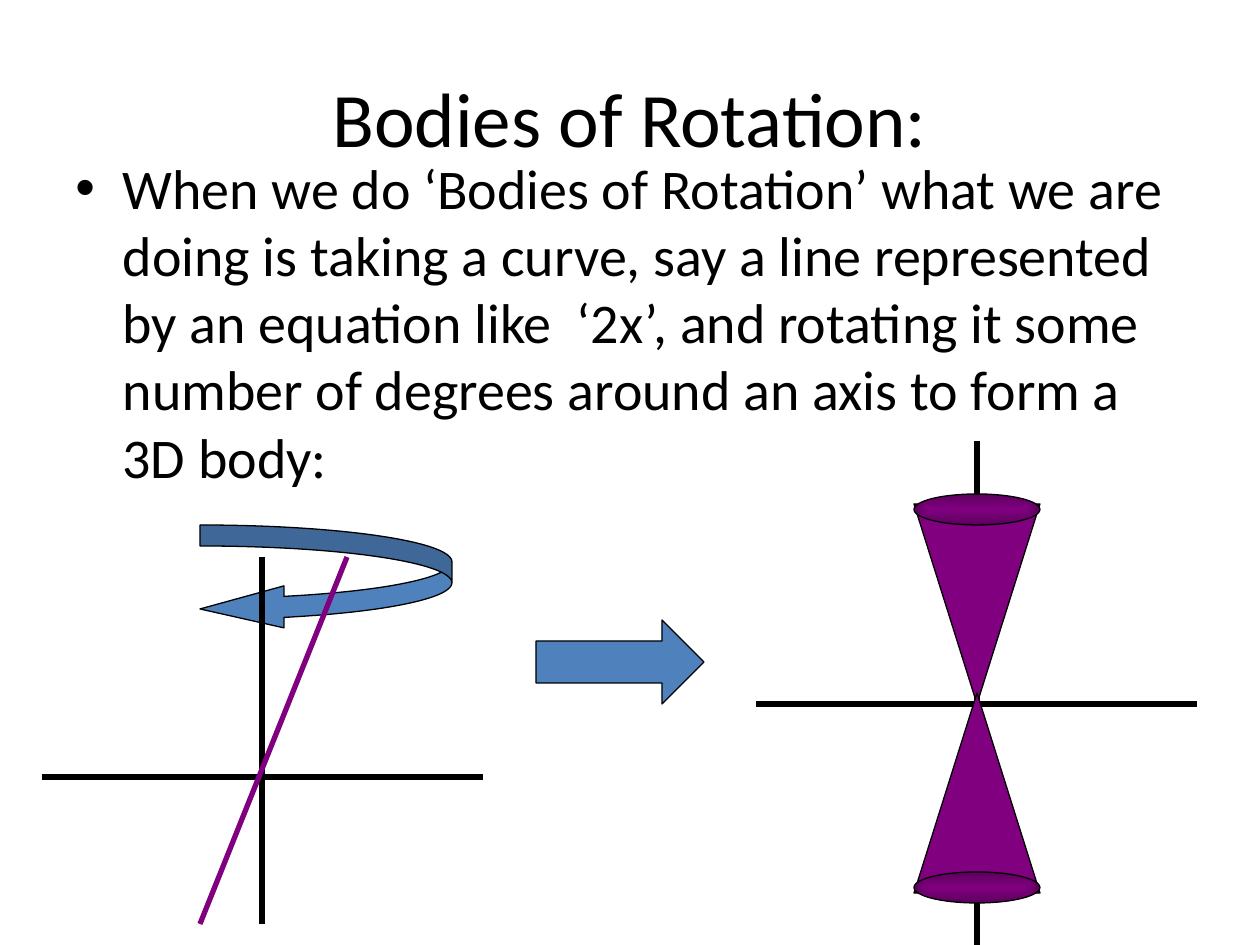
"""Build a slide that explains bodies of rotation with a line and a double cone."""
from lxml import etree
from pptx import Presentation
from pptx import util as u
from pptx.dml import color
from pptx.enum import shapes, text
from pptx.oxml import ns

PX = 914400 / 126
BLACK, BLUE, PURPLE, DARK = "000000", "4F81BD", "800080", "5C005C"
kind = shapes.MSO_SHAPE


def emu(*vals):
    return [u.Emu(round(v * PX)) for v in vals]


def rgb(code):
    return color.RGBColor.from_string(code)


deck = Presentation()
deck.slide_width, deck.slide_height = emu(1260, 945)
slide = deck.slides.add_slide(deck.slide_layouts[5])
parts = slide.shapes

title = parts.title
title.left, title.top, title.width, title.height = emu(63, 38, 1134, 157)
title.text_frame.text = "Bodies of Rotation:"
title.text_frame.vertical_anchor = text.MSO_ANCHOR.MIDDLE
body = parts.add_textbox(*emu(63, 147, 1134, 624))
body.text_frame.word_wrap = True
body.text_frame.text = (
    "When we do ‘Bodies of Rotation’ what we are doing is taking a curve, "
    "say a line represented by an equation like  ‘2x’, and rotating it some "
    "number of degrees around an axis to form a 3D body:"
)

for box, size, align in (
    (title, 44, text.PP_ALIGN.CENTER),
    (body, 32, text.PP_ALIGN.LEFT),
):
    para = box.text_frame.paragraphs[0]
    para.alignment = align
    font = para.runs[0].font
    font.name, font.size = "Calibri", u.Pt(size)
    font.color.rgb = rgb(BLACK)

para = body.text_frame.paragraphs[0]
para.space_before = u.Pt(6)
props = para._p.get_or_add_pPr()
props.set("marL", "342900")
props.set("indent", "-342900")
etree.SubElement(props, ns.qn("a:buFont"), typeface="Arial")
etree.SubElement(props, ns.qn("a:buChar"), char="•")

arrows = (
    (kind.CURVED_LEFT_ARROW, (200, 525, 252, 105), (0.2, 0.4, 0.8)),
    (kind.RIGHT_ARROW, (536, 620, 168, 84), (0.5, 0.5)),
)
solids = []
for form, area, adjs in arrows:
    arrow = parts.add_shape(form, *emu(*area))
    for i, adj in enumerate(adjs):
        arrow.adjustments[i] = adj
    arrow.fill.solid()
    arrow.fill.fore_color.rgb = rgb(BLUE)
    solids.append(arrow)

lines = (
    (262, 557, 262, 924, BLACK, 3.5),
    (42, 777, 483, 777, BLACK, 3.5),
    (977, 441, 977, 945, BLACK, 3.5),
    (756, 704, 1197, 704, BLACK, 3.5),
    (200, 924, 347, 557, PURPLE, 3),
)
for *ends, hue, width in lines:
    line = parts.add_connector(shapes.MSO_CONNECTOR.STRAIGHT, *emu(*ends))
    line.line.color.rgb = rgb(hue)
    line.line.width = u.Pt(width)
    etree.SubElement(line._element.spPr, ns.qn("a:effectLst"))

for top, turn in ((504, 0), (693, 180)):
    cone = parts.add_shape(kind.FLOWCHART_MERGE, *emu(914, top, 126, 200))
    cone.rotation = turn
    cone.fill.solid()
    cone.fill.fore_color.rgb = rgb(PURPLE)
    solids.append(cone)

for top in (872, 494):
    rim = parts.add_shape(kind.OVAL, *emu(914, top, 126, 31))
    rim.fill.gradient()
    for stop, hue, spot in zip(rim.fill.gradient_stops, (PURPLE, DARK), (0, 1)):
        stop.color.rgb = rgb(hue)
        stop.position = spot
    grad = rim._element.spPr.find(ns.qn("a:gradFill"))
    grad.remove(grad.find(ns.qn("a:lin")))
    shade = etree.SubElement(grad, ns.qn("a:path"), path="shape")
    sides = dict.fromkeys("ltrb", "50000")
    etree.SubElement(shade, ns.qn("a:fillToRect"), sides)
    solids.append(rim)

for solid in solids:
    solid.shadow.inherit = False
    solid.line.color.rgb = rgb(BLACK)
    solid.line.width = u.Pt(0.75)

deck.save("out.pptx")
